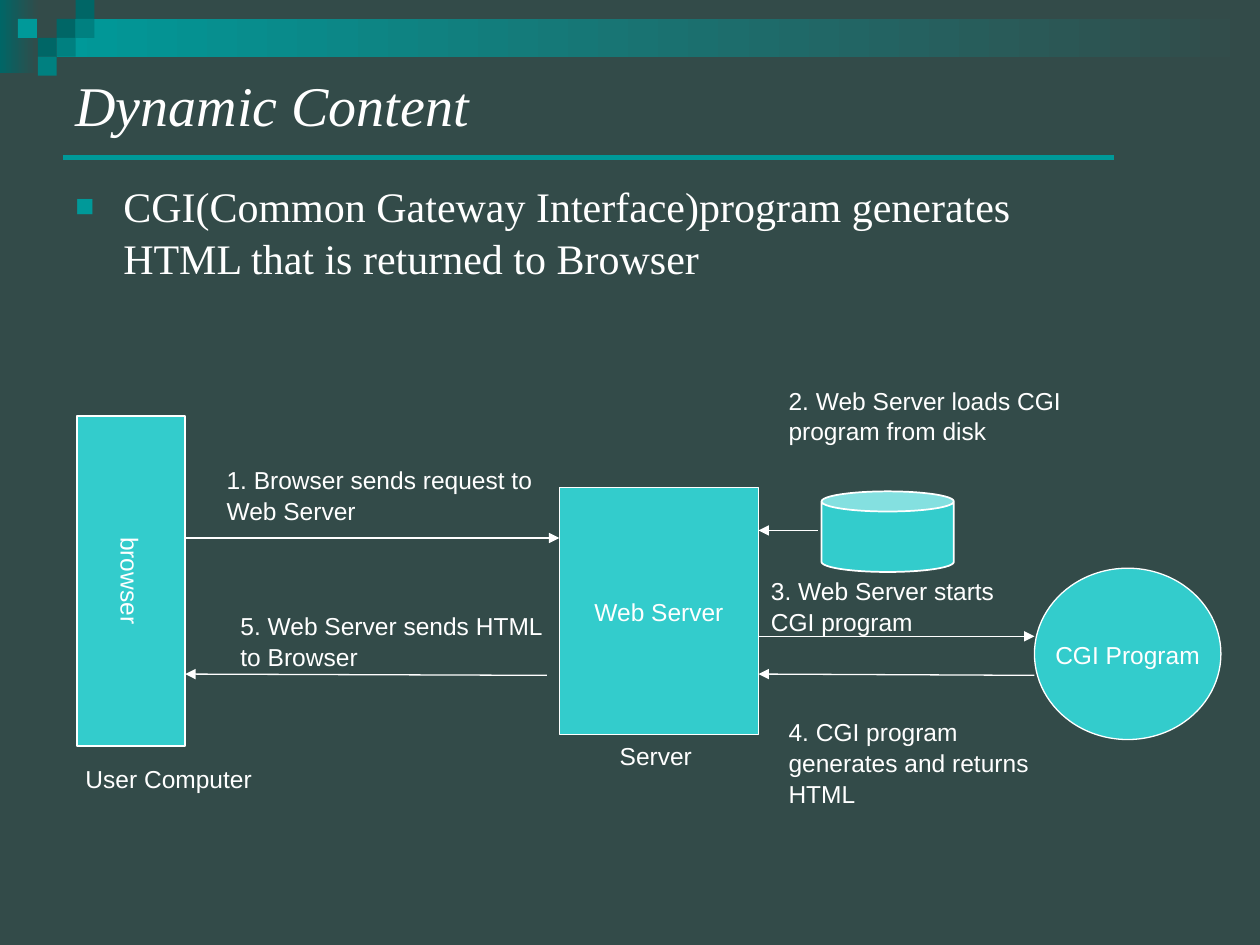
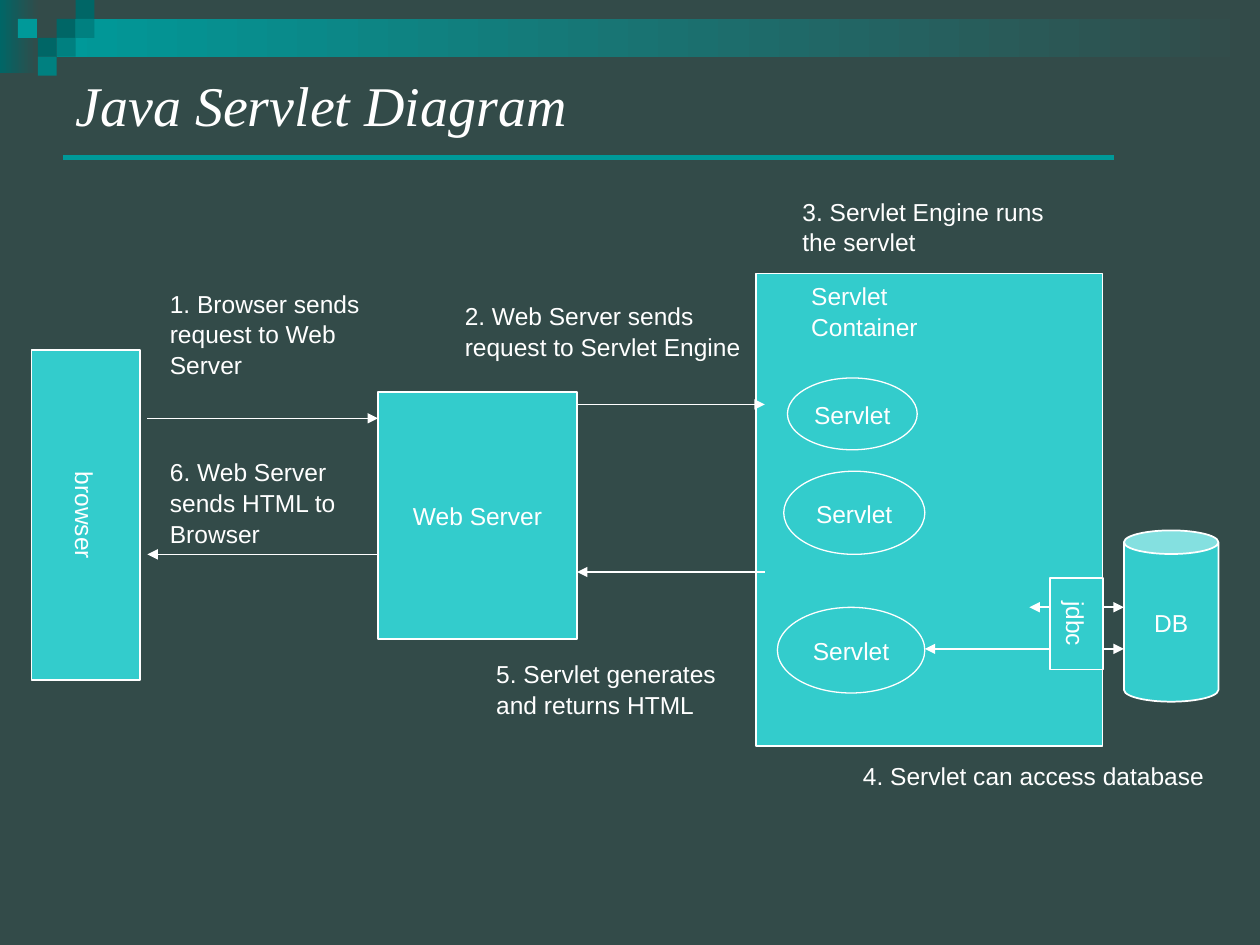
import pptx
import pptx.util
import pptx.dml.color
import pptx.enum.shapes
import pptx.enum.text
import pptx.oxml
import pptx.oxml.ns
import lxml.etree

KIND = pptx.enum.shapes.MSO_SHAPE
RECT, OVAL, CAN = KIND.RECTANGLE, KIND.OVAL, KIND.CAN
ANCHOR = pptx.enum.text.MSO_ANCHOR
ALIGN = pptx.enum.text.PP_ALIGN

BACK, WHITE, AQUA = "334B49", "FFFFFF", "33CCCC"
DARK, MID, TEAL = "006666", "008080", "009999"
SANS, SERIF = "Arial", "Times New Roman"
THIN, BOLD = 0.74, 0.99
TILE = 0.15

FADES = [((0, 0, 0.31, 0.58), DARK), ((0.45, 0.15, 9.55, 0.3), TEAL)]
TILES = [(3, 1, DARK), (4, 0, DARK), (4, 1, MID), (2, 2, DARK),
         (0.95, 1, TEAL), (3, 2, MID), (2, 3, MID)]

SLIDES = [
    {
        "title": "Dynamic Content",
        "body": "CGI(Common Gateway Interface)program generates "
                "HTML that is returned to Browser",
        "under": [],
        "lines": [
            ((1.47, 4.27), (4.44, 4.27), THIN, "tail"),
            ((4.34, 5.36), (1.47, 5.35), THIN, "tail"),
            ((6.49, 4.21), (6.02, 4.21), THIN, "tail"),
            ((6.02, 5.05), (8.21, 5.05), THIN, "tail"),
            ((8.21, 5.36), (6.02, 5.35), THIN, "tail"),
        ],
        "boxes": [
            (RECT, (-0.27, 4.18, 2.62, 0.86), BOLD, "browser", 90),
            (OVAL, (8.21, 4.51, 1.48, 1.36), THIN, "CGI Program", 0),
            (RECT, (4.44, 3.87, 1.58, 1.96), BOLD, "Web Server", 0),
            (CAN, (6.52, 3.9, 1.05, 0.64), BOLD, "", 0),
        ],
        "notes": [
            ((1.7, 3.63, 2.74, 0.57), "1. Browser sends request to Web Server"),
            ((1.81, 4.79, 2.63, 0.57), "5. Web Server sends HTML to Browser"),
            ((0.58, 6, 1.69, 0.34), "User Computer"),
            ((4.82, 5.82, 1.33, 0.34), "Server"),
            ((6.16, 3, 2.52, 0.57), "2. Web Server loads CGI program from disk"),
            ((6.02, 4.51, 2.19, 0.57), "3. Web Server starts CGI program"),
            ((6.16, 5.63, 2.35, 0.8), "4. CGI program generates and returns HTML"),
        ],
    },
    {
        "title": "Java Servlet Diagram",
        "body": "",
        "under": [(RECT, (6, 2.17, 2.75, 3.75), THIN, "", 0)],
        "lines": [
            ((1.17, 3.32), (3, 3.32), THIN, "tail"),
            ((4.59, 3.21), (6.07, 3.21), THIN, "tail"),
            ((6.07, 4.54), (4.58, 4.54), THIN, "tail"),
            ((3, 4.4), (1.17, 4.4), BOLD, "tail"),
            ((7.34, 5.15), (8.92, 5.15), BOLD, "both"),
            ((8.17, 4.82), (8.92, 4.82), BOLD, "both"),
        ],
        "boxes": [
            (OVAL, (6.25, 3, 1.03, 0.57), THIN, "Servlet", 0),
            (OVAL, (6.22, 3.74, 1.12, 0.66), THIN, "Servlet", 0),
            (OVAL, (6.17, 4.82, 1.17, 0.68), THIN, "Servlet", 0),
            (RECT, (-0.63, 3.66, 2.62, 0.86), BOLD, "browser", 90),
            (RECT, (3, 3.11, 1.58, 1.96), BOLD, "Web Server", 0),
            (CAN, (8.92, 4.21, 0.75, 1.36), BOLD, "DB", 0),
            (RECT, (8.18, 4.74, 0.73, 0.42), BOLD, "jdbc", 90),
        ],
        "notes": [
            ((1.25, 2.23, 1.9, 0.8), "1. Browser sends request to Web Server"),
            ((1.25, 3.57, 1.95, 0.8), "6. Web Server sends HTML to Browser"),
            ((3.59, 2.33, 2.52, 0.57),
             "2. Web Server sends request to Servlet Engine"),
            ((3.84, 5.17, 2.23, 0.57), "5. Servlet generates and returns HTML"),
            ((6.34, 2.17, 1.24, 0.57), "Servlet Container"),
            ((6.75, 5.98, 3.08, 0.34), "4. Servlet can access database"),
            ((6.27, 1.5, 2.23, 0.57), "3. Servlet Engine runs the servlet"),
        ],
    },
]


def size(inch):
    return pptx.util.Cm(inch * 2.54)


def tint(code):
    return pptx.dml.color.RGBColor.from_string(code)


def node(root, tag, **attrs):
    item = lxml.etree.SubElement(root, pptx.oxml.ns.qn(tag))
    for key, val in attrs.items():
        item.set(key, str(val))
    return item


def write(shape, text, font=SANS, pts=14, slant=False, align=ALIGN.LEFT,
          anchor=ANCHOR.TOP, top=0.05, wrap=True):
    frame = shape.text_frame
    frame.word_wrap = wrap
    frame.vertical_anchor = anchor
    frame.margin_left = frame.margin_right = size(0.1)
    frame.margin_top, frame.margin_bottom = size(top), size(0.05)
    para = frame.paragraphs[0]
    para.alignment = align
    para.line_spacing = 1.05
    run = para.add_run()
    run.text = text
    run.font.name = font
    run.font.size = pptx.util.Pt(pts)
    run.font.italic = slant
    run.font.color.rgb = tint(WHITE)
    return para


def label(slide, area, text, **style):
    return write(slide.shapes.add_textbox(*map(size, area)), text, **style)


def block(slide, kind, area, fill):
    shape = slide.shapes.add_shape(kind, *map(size, area))
    shape.shadow.inherit = False
    shape.line.fill.background()
    shape.fill.solid()
    shape.fill.fore_color.rgb = tint(fill)
    return shape


def box(slide, kind, area, width, text, turn):
    shape = block(slide, kind, area, AQUA)
    shape.line.color.rgb = tint(WHITE)
    shape.line.width = pptx.util.Pt(width)
    shape.rotation = turn
    if text:
        write(shape, text, align=ALIGN.CENTER, anchor=ANCHOR.MIDDLE, wrap=False)


def line(slide, start, end, width, ends="", color=WHITE):
    link = slide.shapes.add_connector(
        pptx.enum.shapes.MSO_CONNECTOR.STRAIGHT, *map(size, start + end))
    link.line.color.rgb = tint(color)
    link.line.width = pptx.util.Pt(width)
    pen = link.line._get_or_add_ln()
    if ends == "both":
        node(pen, "a:headEnd", type="triangle")
    if ends:
        node(pen, "a:tailEnd", type="triangle")
    node(link._element.spPr, "a:effectLst")


def frame(slide, title):
    slide.background.fill.solid()
    slide.background.fill.fore_color.rgb = tint(BACK)
    for area, color in FADES:
        fill = block(slide, RECT, area, color).fill
        fill.gradient()
        fill.gradient_angle = 0
        for stop, code in zip(fill.gradient_stops, (color, BACK)):
            stop.color.rgb = tint(code)
    for col, row, color in TILES:
        block(slide, RECT, (col * TILE, row * TILE, TILE, TILE), color)
    line(slide, (0.5, 1.25), (8.84, 1.25), 2.75, color=TEAL)
    label(slide, (0.5, 0.25, 9, 1.08), title, font=SERIF, pts=32,
          slant=True, anchor=ANCHOR.MIDDLE, top=0.1)


def bullet(para):
    props = para._p.get_or_add_pPr()
    props.set("marL", str(size(0.38)))
    props.set("indent", str(-size(0.38)))
    node(node(props, "a:buClr"), "a:srgbClr", val=TEAL)
    node(props, "a:buSzPct", val=75000)
    node(props, "a:buFont", typeface=SANS)
    node(props, "a:buChar", char="■")


deck = pptx.Presentation()
deck.slide_width, deck.slide_height = size(10), size(7.5)
for page in SLIDES:
    slide = deck.slides.add_slide(deck.slide_layouts[6])
    frame(slide, page["title"])
    if page["body"]:
        bullet(label(slide, (0.5, 1.33, 8.25, 1.83), page["body"],
                     font=SERIF, pts=24, top=0.08))
    for item in page["under"]:
        box(slide, *item)
    for item in page["lines"]:
        line(slide, *item)
    for item in page["boxes"]:
        box(slide, *item)
    for area, text in page["notes"]:
        label(slide, area, text)
deck.save("out.pptx")
